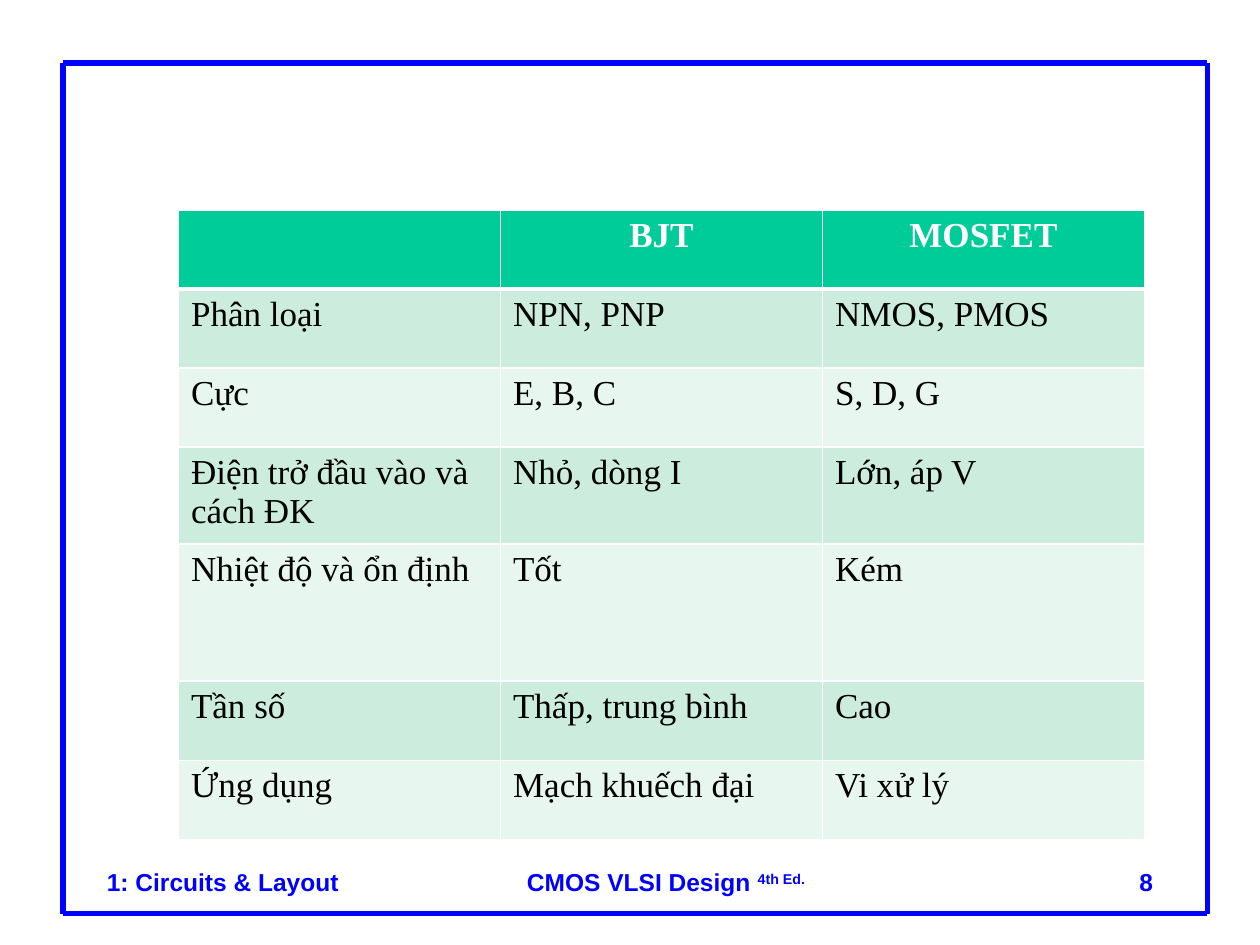
import pptx
import pptx.util
import pptx.dml.color
import pptx.enum.shapes
import pptx.enum.text
import pptx.oxml.ns
from lxml import etree

Pt = pptx.util.Pt
RGB = pptx.dml.color.RGBColor
ALIGN = pptx.enum.text.PP_ALIGN
qn = pptx.oxml.ns.qn

BLUE = RGB(0x00, 0x00, 0xFF)
WHITE = RGB(0xFF, 0xFF, 0xFF)
BLACK = RGB(0x00, 0x00, 0x00)
GREEN = RGB(0x00, 0xCC, 0x99)
BANDS = [RGB(0xE7, 0xF6, 0xEF), RGB(0xCC, 0xEC, 0xDE)]

ROWS = [
    ("", "BJT", "MOSFET"),
    ("Phân loại", "NPN, PNP", "NMOS, PMOS"),
    ("Cực", "E, B, C", "S, D, G"),
    ("Điện trở đầu vào và cách ĐK", "Nhỏ, dòng I", "Lớn, áp V"),
    ("Nhiệt độ và ổn định", "Tốt", "Kém"),
    ("Tần số", "Thấp, trung bình", "Cao"),
    ("Ứng dụng", "Mạch khuếch đại", "Vi xử lý"),
]
HEIGHTS = [45.2, 45.2, 45.2, 55, 78.5, 45.2, 45.2]


def style(font, name, size, color, bold):
    font.name = name
    font.size = Pt(size)
    font.color.rgb = color
    font.bold = bold


def add_line(slide, x1, y1, x2, y2):
    kind = pptx.enum.shapes.MSO_CONNECTOR.STRAIGHT
    line = slide.shapes.add_connector(kind, Pt(x1), Pt(y1), Pt(x2), Pt(y2))
    line.line.color.rgb = BLUE
    line.line.width = Pt(3)
    etree.SubElement(line._element.spPr, qn("a:effectLst"))


def add_frame(slide, left, top, right, bottom):
    add_line(slide, left, top, left, bottom)
    add_line(slide, left, top, right, top)
    add_line(slide, right, top, right, bottom)
    add_line(slide, left, bottom, right, bottom)


def add_label(slide, left, width, text, align=ALIGN.LEFT, raised=""):
    box = slide.shapes.add_textbox(Pt(left), Pt(492), Pt(width), Pt(36))
    box.text_frame.word_wrap = True
    para = box.text_frame.paragraphs[0]
    para.text = text
    para.alignment = align
    if raised:
        run = para.add_run()
        run.text = raised
        run.font._element.set("baseline", "30000")
    for run in para.runs:
        style(run.font, "Arial", 14, BLUE, True)


def add_border(cell, side, width):
    props = cell._tc.get_or_add_tcPr()
    edge = etree.SubElement(props, qn("a:" + side), w=str(Pt(width)))
    fill = etree.SubElement(edge, qn("a:solidFill"))
    etree.SubElement(fill, qn("a:srgbClr"), val=str(WHITE))


def fill_cell(cell, text, row):
    head = row == 0
    widths = {"lnL": 1, "lnR": 1, "lnT": 3 if row == 1 else 1, "lnB": 3 if head else 1}
    for side, width in widths.items():
        add_border(cell, side, width)
    cell.fill.solid()
    cell.fill.fore_color.rgb = GREEN if head else BANDS[row % 2]
    para = cell.text_frame.paragraphs[0]
    para.text = text
    para.alignment = ALIGN.CENTER if head else ALIGN.LEFT
    style(para.font, "Times New Roman", 20, WHITE if head else BLACK, head)
    for run in para.runs:
        style(run.font, "Times New Roman", 20, WHITE if head else BLACK, head)


def add_grid(slide):
    shape = slide.shapes.add_table(
        len(ROWS), len(ROWS[0]), Pt(102), Pt(120), Pt(552), Pt(sum(HEIGHTS)))
    table = shape.table
    for col in table.columns:
        col.width = Pt(184)
    for row, texts in enumerate(ROWS):
        table.rows[row].height = Pt(HEIGHTS[row])
        for col, text in enumerate(texts):
            fill_cell(table.cell(row, col), text, row)


def main():
    deck = pptx.Presentation()
    deck.slide_width = Pt(720)
    deck.slide_height = Pt(540)
    slide = deck.slides.add_slide(deck.slide_layouts[6])
    add_frame(slide, 36, 36, 690, 522)
    add_label(slide, 294, 204, "CMOS VLSI Design ", raised="4th Ed.")
    add_label(slide, 54, 612, "1: Circuits & Layout")
    add_label(slide, 516, 150, "8", ALIGN.RIGHT)
    add_grid(slide)
    deck.save("out.pptx")


if __name__ == "__main__":
    main()
